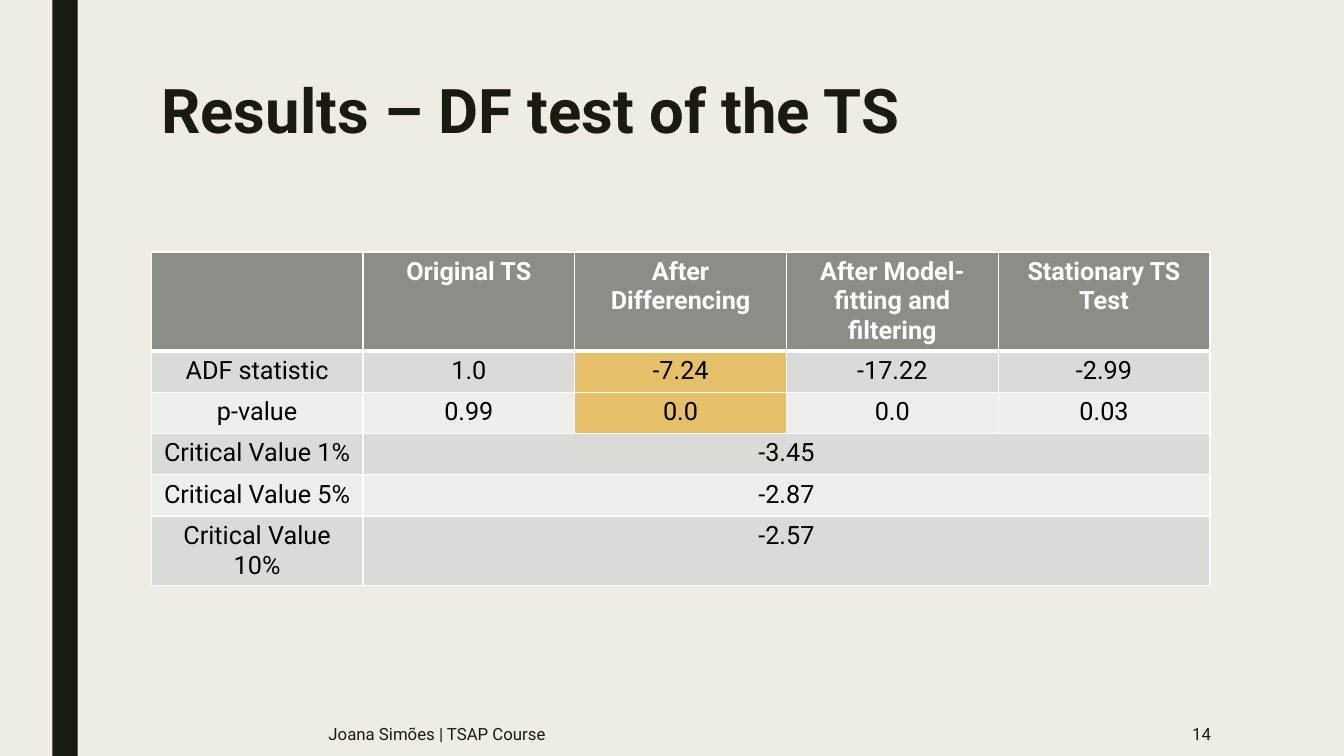
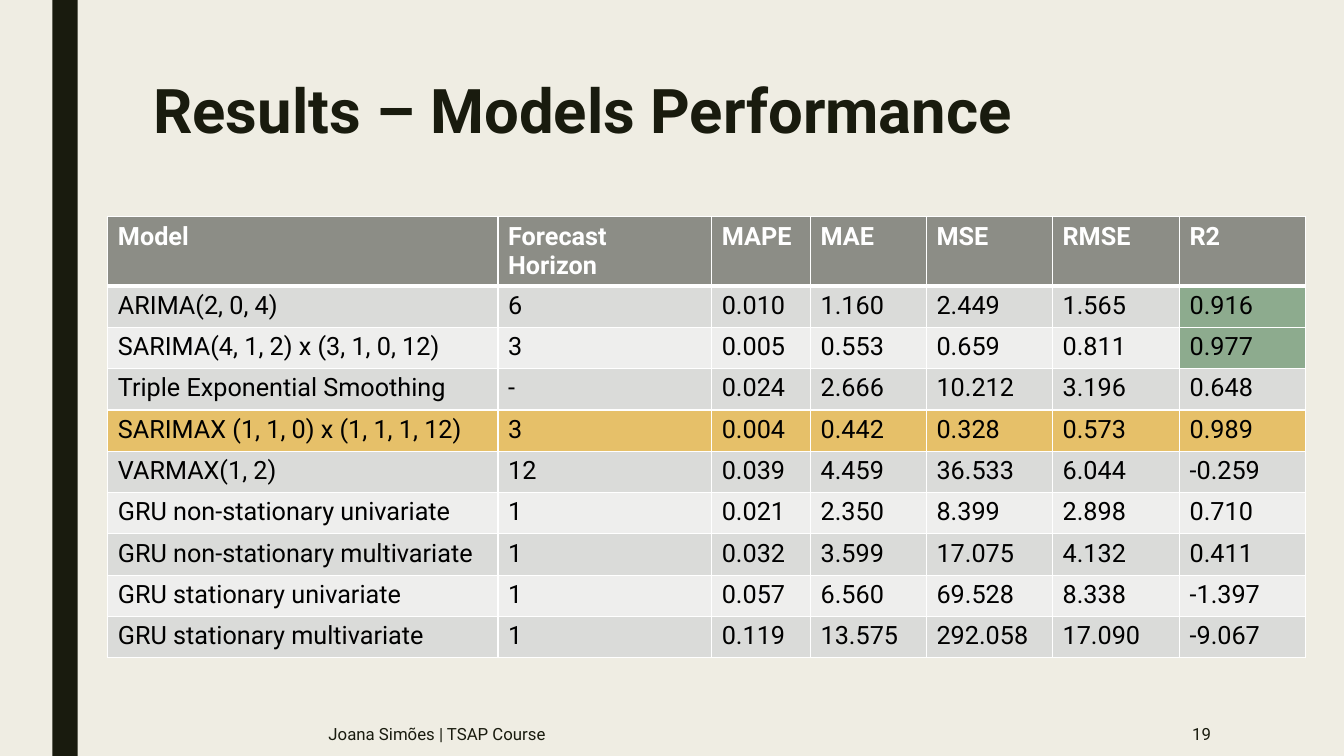
from pptx import Presentation
from pptx.dml.color import RGBColor
from pptx.enum.shapes import MSO_SHAPE
from pptx.enum.text import MSO_ANCHOR, MSO_AUTO_SIZE, PP_ALIGN
from pptx.oxml import parse_xml
from pptx.oxml.ns import nsdecls
from pptx.util import Inches, Pt

# Shared look
FONT = "Roboto"
PAPER = RGBColor(0xEF, 0xED, 0xE3)
INK = RGBColor(0x19, 0x1B, 0x0E)
WHITE = RGBColor(0xFF, 0xFF, 0xFF)
BLACK = RGBColor(0x00, 0x00, 0x00)
HEADER_GREY = RGBColor(0x8C, 0x8D, 0x86)
BAND_GREYS = (RGBColor(0xEE, 0xEE, 0xED), RGBColor(0xDA, 0xDB, 0xD9))
GOLD = RGBColor(0xE6, 0xC0, 0x69)
GREEN = RGBColor(0x8D, 0xAB, 0x8E)
ROW_HEIGHT = 0.41
FOOTER = "Joana Simões | TSAP Course"

# Content: highlights map (row, column) to a fill
df_test_rows = [
    ["", "Original TS", "After Differencing", "After Model-fitting and filtering", "Stationary TS Test"],
    ["ADF statistic", "1.0", "-7.24", "-17.22", "-2.99"],
    ["p-value", "0.99", "0.0", "0.0", "0.03"],
    ["Critical Value 1%", "-3.45"],
    ["Critical Value 5%", "-2.87"],
    ["Critical Value 10%", "-2.57"],
]
performance_rows = [
    ["Model", "Forecast Horizon", "MAPE", "MAE", "MSE", "RMSE", "R2"],
    ["ARIMA(2, 0, 4)", "6", "0.010", "1.160", "2.449", "1.565", "0.916"],
    ["SARIMA(4, 1, 2) x (3, 1, 0, 12)", "3", "0.005", "0.553", "0.659", "0.811", "0.977"],
    ["Triple Exponential Smoothing", "-", "0.024", "2.666", "10.212", "3.196", "0.648"],
    ["SARIMAX (1, 1, 0) x (1, 1, 1, 12)", "3", "0.004", "0.442", "0.328", "0.573", "0.989"],
    ["VARMAX(1, 2)", "12", "0.039", "4.459", "36.533", "6.044", "-0.259"],
    ["GRU non-stationary univariate", "1", "0.021", "2.350", "8.399", "2.898", "0.710"],
    ["GRU non-stationary multivariate", "1", "0.032", "3.599", "17.075", "4.132", "0.411"],
    ["GRU stationary univariate", "1", "0.057", "6.560", "69.528", "8.338", "-1.397"],
    ["GRU stationary multivariate", "1", "0.119", "13.575", "292.058", "17.090", "-9.067"],
]
pages = [
    dict(number="14", title="Results – DF test of the TS", title_left=1.5,
         corner=(1.5, 2.5), columns=[2.1] * 5, align=PP_ALIGN.CENTER,
         rows=df_test_rows, highlights={(1, 2): GOLD, (2, 2): GOLD}),
    dict(number="19", title="Results – Models Performance", title_left=1.42,
         corner=(1.07, 2.15), columns=[3.87, 2.12, 0.98, 1.15, 1.25, 1.26, 1.25],
         align=PP_ALIGN.LEFT, rows=performance_rows,
         highlights={(1, 6): GREEN, (2, 6): GREEN, **{(4, column): GOLD for column in range(7)}}),
]


def style_text(frame, size, color, bold=False, align=PP_ALIGN.LEFT):
    for paragraph in frame.paragraphs:
        paragraph.alignment = align
        paragraph.font.size = Pt(size)
        for run in paragraph.runs:
            run.font.name = FONT
            run.font.size = Pt(size)
            run.font.bold = bold
            run.font.color.rgb = color


def style_cell(cell, fill, top=1, bottom=1):
    properties = cell._tc.get_or_add_tcPr()
    for side, width in (("L", 1), ("R", 1), ("T", top), ("B", bottom)):
        properties.append(parse_xml(
            f'<a:ln{side} {nsdecls("a")} w="{Pt(width)}"><a:solidFill>'
            f'<a:srgbClr val="{WHITE}"/></a:solidFill></a:ln{side}>'))
    cell.fill.solid()
    cell.fill.fore_color.rgb = fill


prs = Presentation()
prs.slide_width, prs.slide_height = Inches(13.33), Inches(7.5)
prs.slide_master.background.fill.solid()
prs.slide_master.background.fill.fore_color.rgb = PAPER
title_only = prs.slide_layouts[5]

for page in pages:
    slide = prs.slides.add_slide(title_only)

    # Vertical band
    band = slide.shapes.add_shape(MSO_SHAPE.RECTANGLE, Inches(0.52), 0, Inches(0.25), prs.slide_height)
    band.shadow.inherit = False
    band.fill.solid()
    band.fill.fore_color.rgb = INK
    band.line.fill.background()

    # Title
    title = slide.shapes.title
    title.left, title.top = Inches(page["title_left"]), Inches(0.75)
    title.width, title.height = Inches(10.5), Inches(1.62)
    title.text_frame.text = page["title"]
    title.text_frame.auto_size = MSO_AUTO_SIZE.NONE
    title.text_frame.vertical_anchor = MSO_ANCHOR.TOP
    title.text_frame.paragraphs[0].line_spacing = 0.89
    style_text(title.text_frame, 44, INK, bold=True)

    # Results table
    rows, columns = page["rows"], page["columns"]
    left, top = page["corner"]
    results = slide.shapes.add_table(
        len(rows), len(columns), Inches(left), Inches(top),
        Inches(sum(columns)), Inches(ROW_HEIGHT * len(rows))).table
    for column, width in enumerate(columns):
        results.columns[column].width = Inches(width)
    for row, values in enumerate(rows):
        is_header = row == 0
        row_fill = HEADER_GREY if is_header else BAND_GREYS[row % 2]
        for column in range(len(columns)):
            cell = results.cell(row, column)
            style_cell(cell, page["highlights"].get((row, column), row_fill),
                       top=3 if row == 1 else 1, bottom=3 if is_header else 1)
            if column < len(values):
                cell.text_frame.text = values[column]
            style_text(cell.text_frame, 18, WHITE if is_header else BLACK, is_header, page["align"])
        # A short row stretches its last value to the right edge
        if len(values) < len(columns):
            results.cell(row, len(values) - 1).merge(results.cell(row, len(columns) - 1))

    # Footer and page number
    for text, left, width, align in ((FOOTER, 3.16, 6.87, PP_ALIGN.LEFT),
                                     (page["number"], 10.36, 1.75, PP_ALIGN.RIGHT)):
        footer = slide.shapes.add_textbox(Inches(left), Inches(7.06), Inches(width), Inches(0.44)).text_frame
        footer.word_wrap = True
        footer.vertical_anchor = MSO_ANCHOR.MIDDLE
        footer.text = text
        style_text(footer, 12, INK, align=align)

prs.save("out.pptx")
